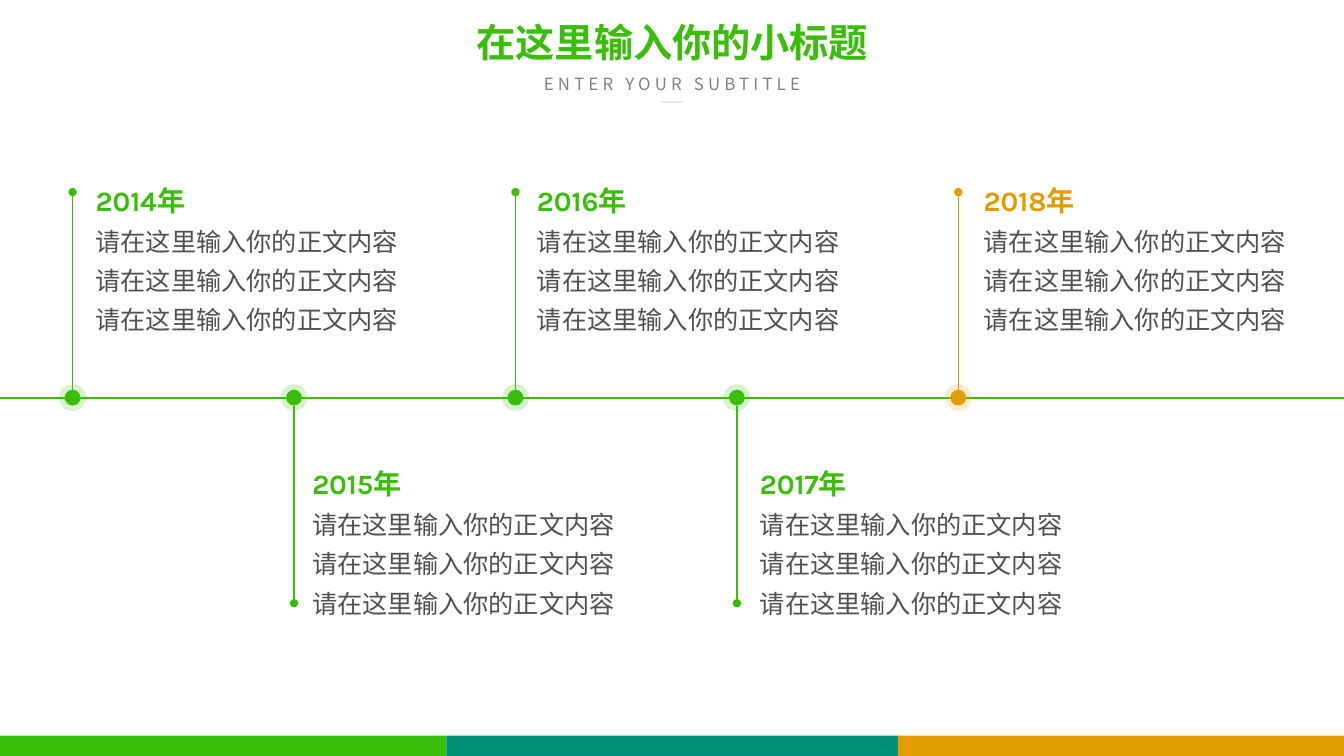
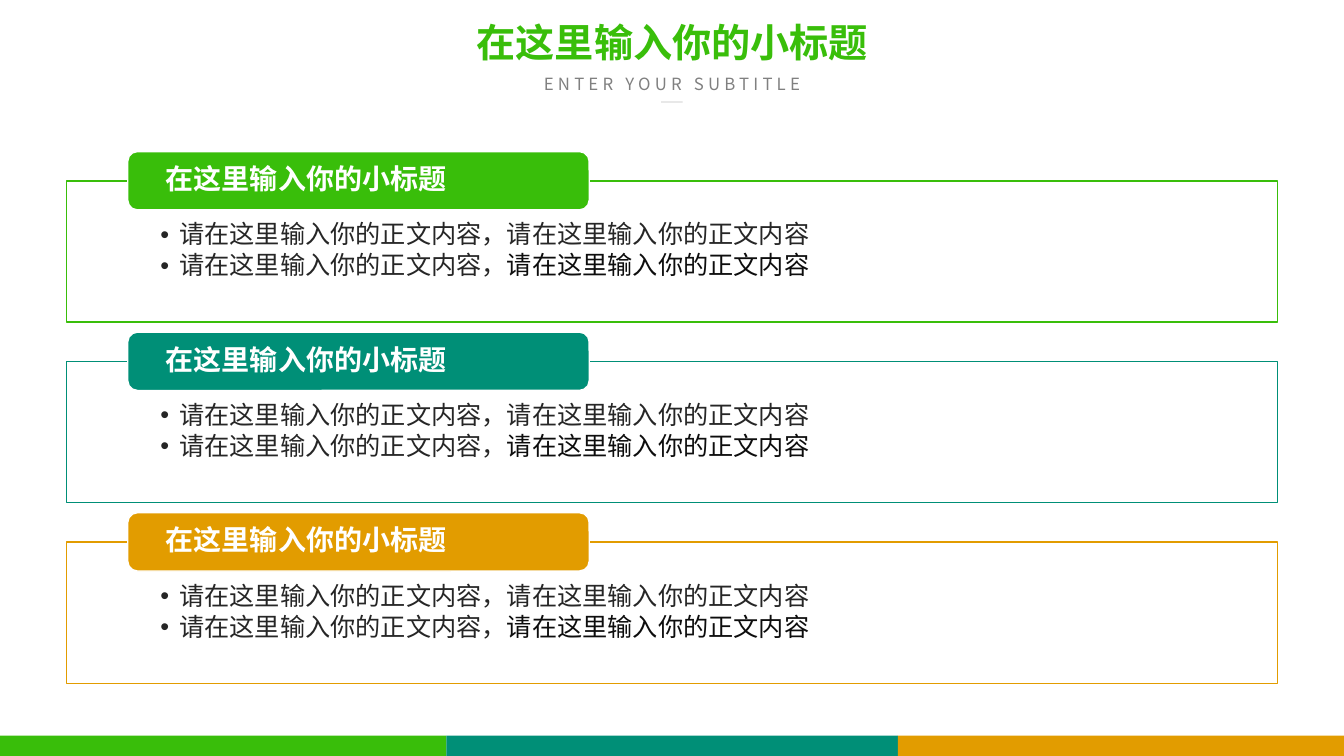
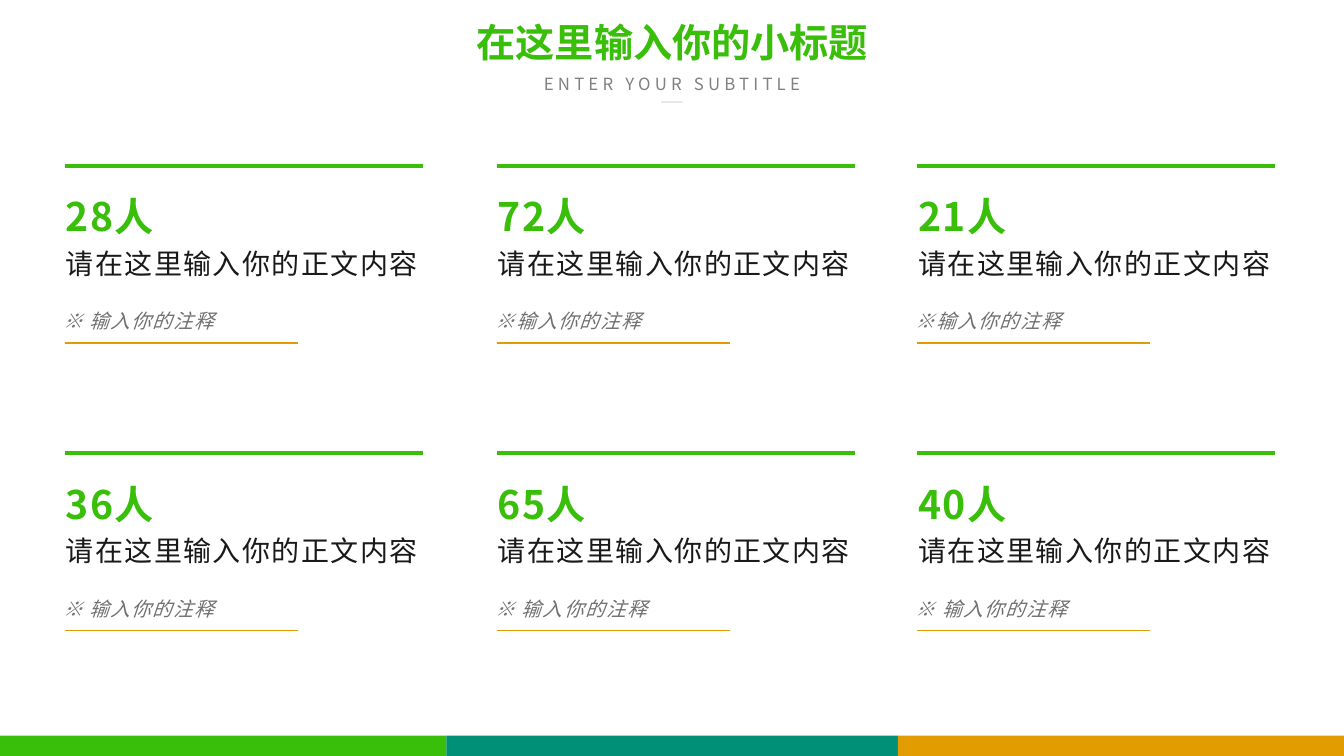
from lxml import etree
from pptx import Presentation
from pptx.dml.color import RGBColor
from pptx.enum.shapes import MSO_CONNECTOR, MSO_SHAPE
from pptx.enum.text import MSO_ANCHOR, PP_ALIGN
from pptx.oxml.ns import qn
from pptx.util import Cm, Pt

RECT, ROUND, OVAL = MSO_SHAPE.RECTANGLE, MSO_SHAPE.ROUNDED_RECTANGLE, MSO_SHAPE.OVAL
LINE = MSO_CONNECTOR.STRAIGHT
LEFT, MID = PP_ALIGN.LEFT, PP_ALIGN.CENTER
TOP, CENTER = MSO_ANCHOR.TOP, MSO_ANCHOR.MIDDLE

WIDE, HIGH = 33.87, 19.05
NOTO, KARLA = "Noto Sans CJK SC", "Karla"
COLOR = {
    "green": "39BE0A", "teal": "008F77", "gold": "E29C00", "white": "FFFFFF",
    "gray": "808080", "body": "505050", "item": "262626", "dark": "0D0D0D",
    "label": "191919", "note": "727171",
}

# Run formats: font attributes, plus colour and letter spacing
FONT = {
    "title": {"size": Pt(28), "name": NOTO, "bold": True, "color": "green"},
    "sub": {"size": Pt(12), "name": NOTO, "color": "gray", "spc": 300},
    "year": {"size": Pt(20), "name": KARLA, "bold": True},
    "body": {"size": Pt(18), "name": KARLA, "bold": False, "color": "body"},
    "item": {"size": Pt(18), "name": KARLA, "color": "item"},
    "lead": {"size": Pt(18), "name": NOTO, "color": "item"},
    "dark": {"size": Pt(18), "name": KARLA, "color": "dark"},
    "head": {"size": Pt(20), "name": NOTO, "bold": True, "color": "white"},
    "count": {"size": Pt(28), "name": NOTO, "bold": True, "color": "green", "spc": 100},
    "label": {"size": Pt(20), "name": NOTO, "bold": False, "color": "label", "spc": 100},
    "note": {"size": Pt(14), "name": NOTO, "italic": True, "color": "note", "spc": 100},
}
INSET = (0.25, 0.13, 0.25, 0.13)

HEAD = "在这里输入你的小标题"
BODY = "请在这里输入你的正文内容"


def rgb(name):
    return RGBColor.from_string(COLOR[name])


def fade(shape, pct):
    """Set the opacity of a shape's outline."""
    tint = shape.line._get_or_add_ln().find(".//" + qn("a:srgbClr"))
    etree.SubElement(tint, qn("a:alpha"), val=str(pct * 1000))


def add_box(slide, kind, box, fill=None, edge=None, width=1):
    shape = slide.shapes.add_shape(kind, *map(Cm, box))
    shape.shadow.inherit = False
    if fill:
        shape.fill.solid()
        shape.fill.fore_color.rgb = rgb(fill)
    else:
        shape.fill.background()
    if edge:
        shape.line.color.rgb = rgb(edge)
        shape.line.width = Pt(width)
    else:
        shape.line.fill.background()
    return shape


def add_line(slide, start, end, color, width):
    line = slide.shapes.add_connector(LINE, *map(Cm, start + end))
    line.line.color.rgb = rgb(color)
    line.line.width = Pt(width)
    etree.SubElement(line._element.spPr, qn("a:effectLst"))
    return line


def add_run(para, text, fmt):
    run = para.add_run()
    run.text = text
    props = run._r.get_or_add_rPr()
    for key, val in fmt.items():
        if key == "color":
            run.font.color.rgb = rgb(val)
        elif key == "spc":
            props.set("spc", str(val))
        else:
            setattr(run.font, key, val)
    etree.SubElement(props, qn("a:ea"), typeface=NOTO)


def add_dot(para):
    """Give a paragraph a hanging round bullet."""
    props = para._p.get_or_add_pPr()
    for key, val in {"marL": Cm(0.48), "indent": -Cm(0.48)}.items():
        props.set(key, str(val))
    etree.SubElement(props, qn("a:buFont"), typeface="Arial")
    etree.SubElement(props, qn("a:buChar"), char="•")


def write(shape, paras, inset=INSET, anchor=TOP, bullet=False, **layout):
    """Fill a shape with paragraphs, each a list of (text, format) runs."""
    frame = shape.text_frame
    frame.word_wrap = True
    frame.vertical_anchor = anchor
    for side, gap in zip(("left", "top", "right", "bottom"), inset):
        setattr(frame, "margin_" + side, Cm(gap))
    for i, runs in enumerate(paras):
        para = frame.add_paragraph() if i else frame.paragraphs[0]
        for key, val in {"alignment": LEFT, **layout}.items():
            setattr(para, key, val)
        if bullet:
            para.level = 1
            add_dot(para)
        for text, fmt in runs:
            add_run(para, text, fmt)


def add_text(slide, box, paras, **layout):
    write(slide.shapes.add_textbox(*map(Cm, box)), paras, **layout)


def add_base(deck):
    """Start a slide with the shared title and colour bands."""
    slide = deck.slides.add_slide(deck.slide_layouts[6])
    add_text(slide, (10.95, 0.46, 11.99, 1.35), [[(HEAD, FONT["title"])]],
             alignment=MID, line_spacing=0.9)
    add_text(slide, (11.25, 1.73, 11.38, 0.76),
             [[("ENTER YOUR SUBTITLE", FONT["sub"])]], alignment=MID)
    fade(add_line(slide, (16.66, 2.57), (17.2, 2.57), "gray", 0.5), 50)
    stops = (0, 11.25, 22.63, WIDE)
    for left, right, color in zip(stops, stops[1:], ("green", "teal", "gold")):
        add_box(slide, RECT, (left, 18.54, right - left, HIGH - 18.54), color)
    return slide


def add_event(slide, x, y, left, year, color, side):
    """Mark a year at (x, y); side is -1 above the axis and 1 below."""
    dot = 0.4
    stem = add_line(slide, (x, y + side * dot / 2), (x, y + side * 5.18), color, 1)
    etree.SubElement(stem.line._get_or_add_ln(), qn("a:tailEnd"), type="oval")
    fade(add_box(slide, OVAL, (x - dot / 2, y - dot / 2, dot, dot), color, color, 8), 20)
    top = y - 5.78 if side < 0 else y + 1.36
    add_text(slide, (left, top, 8.46, 4.27),
             [[(year, {**FONT["year"], "color": color})],
              [(BODY, FONT["body"])], [(BODY * 2, FONT["body"])]],
             line_spacing=1.3)


def add_times(deck):
    slide = add_base(deck)
    axis = 10.02
    add_line(slide, (0, axis), (WIDE, axis), "green", 1.5)
    for i, left in enumerate((2.16, 7.62, 13.28, 18.9, 24.54)):
        add_event(slide, 1.83 + 5.58 * i, axis, left, f"{2014 + i}年",
                  "gold" if i == 4 else "green", 1 if i % 2 else -1)


def add_panel(slide, x, y, color):
    """Draw a framed list with a heading tab on its top edge."""
    frame = add_box(slide, RECT, (x, y, 30.51, 3.56), edge=color)
    write(frame, [[(BODY + "，" + BODY, FONT["item"])],
                  [(BODY + "，", FONT["lead"]), (BODY, FONT["dark"])]],
          inset=(2.36, 1.04, 2.36, 0.36), bullet=True,
          line_spacing=0.9, space_after=Pt(2.7))
    tab = add_box(slide, ROUND, (x + 1.54, y - 0.74, 11.63, 1.47), color, "white")
    write(tab, [[(HEAD, FONT["head"])]], inset=(0.89, 0, 0.89, 0),
          anchor=CENTER, line_spacing=0.9)


def add_panels(deck):
    slide = add_base(deck)
    for i, color in enumerate(("green", "teal", "gold")):
        add_panel(slide, 1.68, 4.56 + 4.55 * i, color)


def add_stat(slide, x, y, count, note):
    """Place a count, its label and a remark between two rules."""
    add_line(slide, (x, y), (x + 9.03, y), "green", 3)
    add_text(slide, (x - 0.22, y + 0.31, 10.49, 2.64),
             [[(count, FONT["count"])], [(BODY, FONT["label"])]], line_spacing=1.2)
    add_text(slide, (x - 0.29, y + 3.48, 7.34, 0.86), [[(note, FONT["note"])]])
    add_line(slide, (x, y + 4.46), (x + 5.87, y + 4.46), "gold", 1)


def add_stats(deck):
    slide = add_base(deck)
    wide, tight = "※ 输入你的注释", "※输入你的注释"
    rows = (
        (("28人", wide), ("72人", tight), ("21人", tight)),
        (("36人", wide), ("65人", wide), ("40人", wide)),
    )
    for y, row in zip((4.18, 11.42), rows):
        for x, (count, note) in zip((1.63, 12.52, 23.11), row):
            add_stat(slide, x, y, count, note)


def main():
    deck = Presentation()
    deck.slide_width, deck.slide_height = Cm(WIDE), Cm(HIGH)
    for build in (add_times, add_panels, add_stats):
        build(deck)
    deck.save("out.pptx")


if __name__ == "__main__":
    main()
